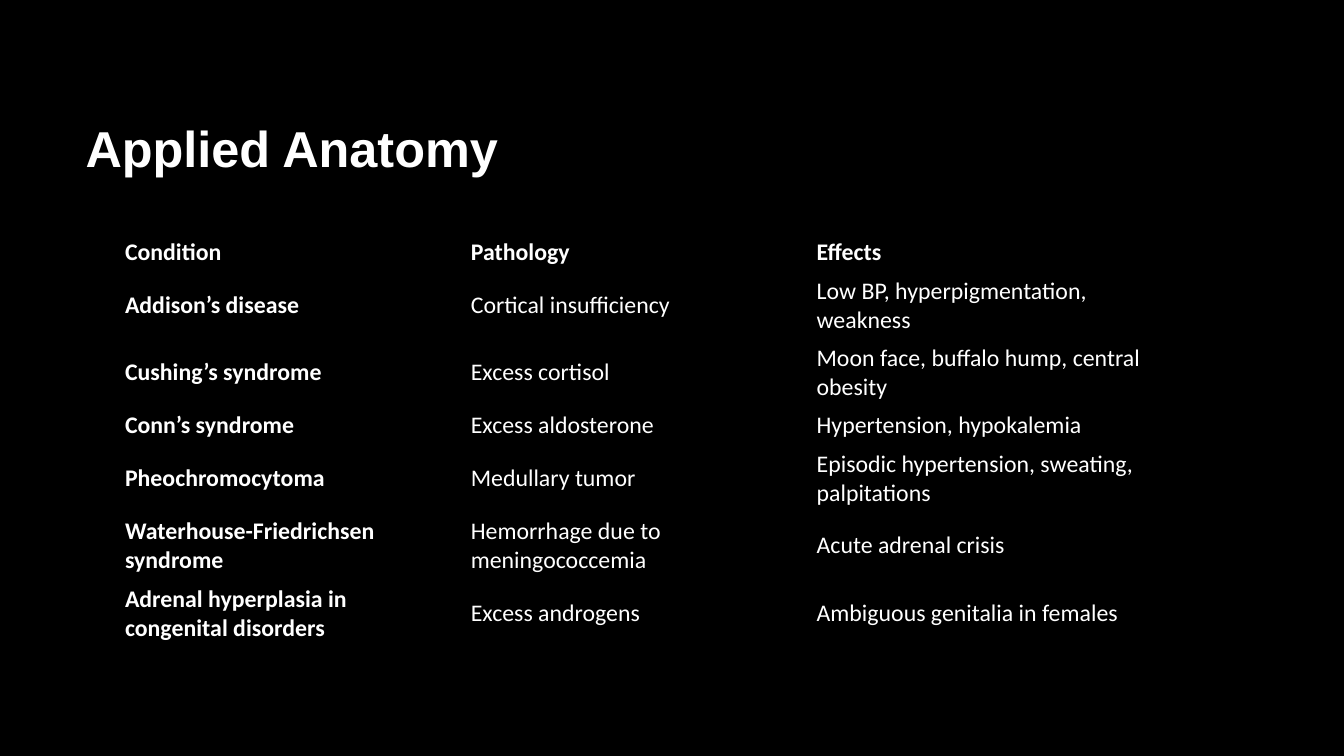
from pptx import Presentation
from pptx.dml.color import RGBColor
from pptx.enum.text import MSO_ANCHOR
from pptx.oxml.ns import qn
from pptx.util import Inches, Pt

COLOURS = {"background": "000000", "text": "FFFFFF"}
NO_GRID_STYLE = "{2D5ABB26-0587-4C30-8999-92F81FD0307C}"
COLUMN_WIDTH = 3.43
ONE_LINE, TWO_LINES = 0.37, 0.65
ROW_HEIGHTS = [ONE_LINE, TWO_LINES, TWO_LINES, ONE_LINE] + [TWO_LINES] * 3
CONDITIONS = [
    ("Condition", "Pathology", "Effects"),
    ("Addison’s disease", "Cortical insufficiency",
     "Low BP, hyperpigmentation, weakness"),
    ("Cushing’s syndrome", "Excess cortisol",
     "Moon face, buffalo hump, central obesity"),
    ("Conn’s syndrome", "Excess aldosterone", "Hypertension, hypokalemia"),
    ("Pheochromocytoma", "Medullary tumor",
     "Episodic hypertension, sweating, palpitations"),
    ("Waterhouse-Friedrichsen syndrome", "Hemorrhage due to meningococcemia",
     "Acute adrenal crisis"),
    ("Adrenal hyperplasia in congenital disorders", "Excess androgens",
     "Ambiguous genitalia in females"),
]


def write(frame, text, font_name, size, bold):
    """Put one formatted line of text into a text frame."""
    frame.text = text
    frame.word_wrap = True
    font = frame.paragraphs[0].runs[0].font
    font.name, font.size, font.bold = font_name, Pt(size), bold
    font.color.rgb = RGBColor.from_string(COLOURS["text"])


def add_title(page, text):
    """Add the slide heading, centred vertically in its box."""
    box = page.shapes.add_textbox(
        Inches(0.75), Inches(0.67), Inches(11.08), Inches(1.59))
    write(box.text_frame, text, "Arial", 36, True)
    box.text_frame.vertical_anchor = MSO_ANCHOR.MIDDLE


def add_condition_table(page, rows):
    """Add the borderless table with a bold header row and first column."""
    column_count = len(rows[0])
    frame = page.shapes.add_table(
        len(rows), column_count, Inches(1.15), Inches(2.31),
        Inches(COLUMN_WIDTH * column_count), Inches(sum(ROW_HEIGHTS)))
    table = frame.table
    table.horz_banding = False
    table.first_col = True
    table._tbl.tblPr.find(qn("a:tableStyleId")).text = NO_GRID_STYLE
    for column in table.columns:
        column.width = Inches(COLUMN_WIDTH)
    for row_index, texts in enumerate(rows):
        table.rows[row_index].height = Inches(ROW_HEIGHTS[row_index])
        for column_index, text in enumerate(texts):
            cell = table.cell(row_index, column_index)
            cell.fill.background()
            cell.vertical_anchor = MSO_ANCHOR.MIDDLE
            cell.margin_left = cell.margin_right = Inches(0.09)
            cell.margin_top = cell.margin_bottom = Inches(0.05)
            is_heading = row_index == 0 or column_index == 0
            write(cell.text_frame, text, "Calibri", 17, is_heading)


def main():
    """Build and save the slide."""
    deck = Presentation()
    deck.slide_width, deck.slide_height = Inches(13.33), Inches(7.5)
    page = deck.slides.add_slide(deck.slide_layouts[6])
    page.background.fill.solid()
    page.background.fill.fore_color.rgb = RGBColor.from_string(
        COLOURS["background"])
    add_title(page, "Applied Anatomy")
    add_condition_table(page, CONDITIONS)
    deck.save("out.pptx")


if __name__ == "__main__":
    main()
